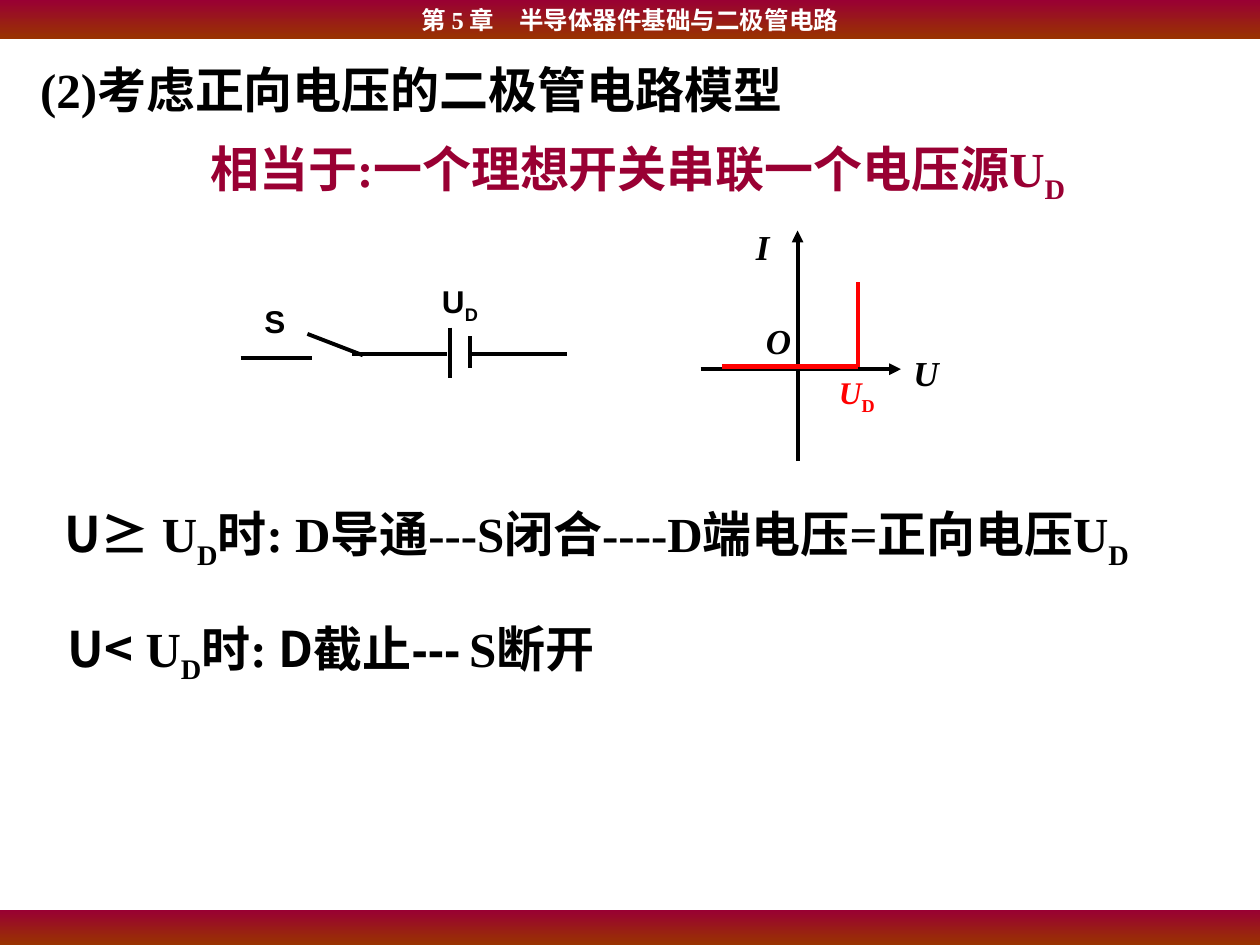
import pptx
import pptx.util
import pptx.dml.color
import pptx.enum.shapes
import pptx.enum.text
import pptx.oxml.ns
from lxml import etree

RGBColor = pptx.dml.color.RGBColor
BLACK = RGBColor(0x00, 0x00, 0x00)
WHITE = RGBColor(0xFF, 0xFF, 0xFF)
RED = RGBColor(0xFF, 0x00, 0x00)
CRIMSON = RGBColor(0x99, 0x00, 0x33)
RUST = RGBColor(0x99, 0x33, 0x00)

SERIF, SANS = "Times New Roman", "Arial"
HAN, HAN_KR = "Noto Sans CJK SC", "Noto Sans CJK KR"
WIDTH, HEIGHT = 10, 7.5

CHAPTER = "第 5 章　半导体器件基础与二极管电路"
SUB_D = ("D", {"sub": True})

STATEMENTS = [
    ((0.22, 0.42, 7.11, 0.57), [("(2)考虑正向电压的二极管电路模型", {})], BLACK),
    ((1.57, 1.05, 7.11, 1.1), [("相当于:一个理想开关串联一个电压源U", {}), SUB_D], CRIMSON),
    ((0.41, 3.95, 9.59, 1.16), [
        ("U≥", {"name": HAN_KR}), (" U", {}), SUB_D,
        ("时: D导通---S闭合----D端电压=正向电压U", {}), SUB_D], BLACK),
    ((0.44, 4.86, 5.69, 0.63), [
        ("U<", {"name": HAN_KR}), (" U", {}), SUB_D, ("时: ", {}),
        ("D截止", {"name": HAN}), ("---", {"name": SANS}),
        (" ", {"name": SANS, "size": 18, "bold": False}), ("S断开", {})], BLACK),
]

ORIGIN_X, ORIGIN_Y = 6.33, 2.93
KNEE_X, KNEE_Y = 6.81, 2.91
CURVE_LINES = [
    ((5.56, ORIGIN_Y), (7.15, ORIGIN_Y), BLACK, 2.25, True),
    ((ORIGIN_X, 3.66), (ORIGIN_X, 1.83), BLACK, 2.25, True),
    ((5.73, KNEE_Y), (KNEE_X, KNEE_Y), RED, 3, False),
    ((KNEE_X, KNEE_Y), (KNEE_X, 2.24), RED, 2.25, False),
]
CURVE_LABELS = [
    ((7.15, 2.74, 0.42, 0.44), [("U", {})], BLACK, 20),
    ((5.9, 1.74, 0.33, 0.44), [("I", {})], BLACK, 20),
    ((5.98, 2.49, 0.5, 0.44), [("O", {})], BLACK, 20),
    ((6.56, KNEE_Y, 0.67, 0.44), [("U", {}), ("D", {"sub": True, "italic": False})], RED, 18),
]

WIRE_Y = 2.81
CIRCUIT_LINES = [
    ((2.79, WIRE_Y), (3.55, WIRE_Y)),
    ((3.57, 2.6), (3.57, 3)),
    ((3.73, 2.67), (3.73, 2.92)),
    ((3.74, WIRE_Y), (4.5, WIRE_Y)),
    ((1.91, 2.84), (2.48, 2.84)),
    ((2.44, 2.65), (2.88, 2.82)),
]
CIRCUIT_LABELS = [
    ((3.41, 2.19, 0.76, 0.44), [("U", {}), SUB_D]),
    ((2, 2.35, 0.41, 0.4), [("S", {})]),
]


def inches(values):
    return [pptx.util.Inches(value) for value in values]


def write(paragraph, runs, color, size, name=SERIF, italic=False):
    font = paragraph.font
    font.size, font.bold, font.italic = pptx.util.Pt(size), True, italic
    font.color.rgb = color
    font.name = name
    east_asian = etree.Element(pptx.oxml.ns.qn("a:ea"), typeface=HAN)
    font._element.find(pptx.oxml.ns.qn("a:latin")).addnext(east_asian)
    for text, style in runs:
        run = paragraph.add_run()
        run.text = text
        if "name" in style:
            run.font.name = style["name"]
        if "size" in style:
            run.font.size = pptx.util.Pt(style["size"])
        if "bold" in style:
            run.font.bold = style["bold"]
        if "italic" in style:
            run.font.italic = style["italic"]
        if "sub" in style:
            run.font._element.set("baseline", "-25000")


def add_text(shapes, box, runs, color, size, **style):
    frame = shapes.add_textbox(*inches(box)).text_frame
    frame.word_wrap = True
    write(frame.paragraphs[0], runs, color, size, **style)


def add_line(shapes, start, end, color=BLACK, weight=2.25, arrow=False):
    line = shapes.add_connector(
        pptx.enum.shapes.MSO_CONNECTOR.STRAIGHT, *inches(start + end))
    line.line.color.rgb = color
    line.line.width = pptx.util.Pt(weight)
    if arrow:
        etree.SubElement(line.line._get_or_add_ln(),
                         pptx.oxml.ns.qn("a:tailEnd"), type="triangle")
    etree.SubElement(line._element.spPr, pptx.oxml.ns.qn("a:effectLst"))


def add_band(shapes, top, height):
    band = shapes.add_shape(pptx.enum.shapes.MSO_SHAPE.RECTANGLE,
                            *inches((0, top, WIDTH, height)))
    band.shadow.inherit = False
    band.line.fill.background()
    band.fill.gradient()
    band.fill.gradient_angle = 270
    for stop, color, position in zip(band.fill.gradient_stops, (CRIMSON, RUST), (0, 1)):
        stop.color.rgb = color
        stop.position = position
    return band


def main():
    deck = pptx.Presentation()
    deck.slide_width, deck.slide_height = inches((WIDTH, HEIGHT))
    shapes = deck.slides.add_slide(deck.slide_layouts[6]).shapes

    add_band(shapes, 7.22, 0.28)
    header = add_band(shapes, 0, 0.31).text_frame
    header.word_wrap = False
    header.vertical_anchor = pptx.enum.text.MSO_ANCHOR.MIDDLE
    header.paragraphs[0].alignment = pptx.enum.text.PP_ALIGN.CENTER
    write(header.paragraphs[0], [(CHAPTER, {})], WHITE, 14)

    curve = shapes.add_group_shape().shapes
    for line in CURVE_LINES:
        add_line(curve, *line)
    for label in CURVE_LABELS:
        add_text(curve, *label, italic=True)

    circuit = shapes.add_group_shape().shapes
    for line in CIRCUIT_LINES:
        add_line(circuit, *line)
    for label in CIRCUIT_LABELS:
        add_text(circuit, *label, BLACK, 18, name=SANS)

    for statement in STATEMENTS:
        add_text(shapes, *statement, 28)

    deck.save("out.pptx")


if __name__ == "__main__":
    main()
